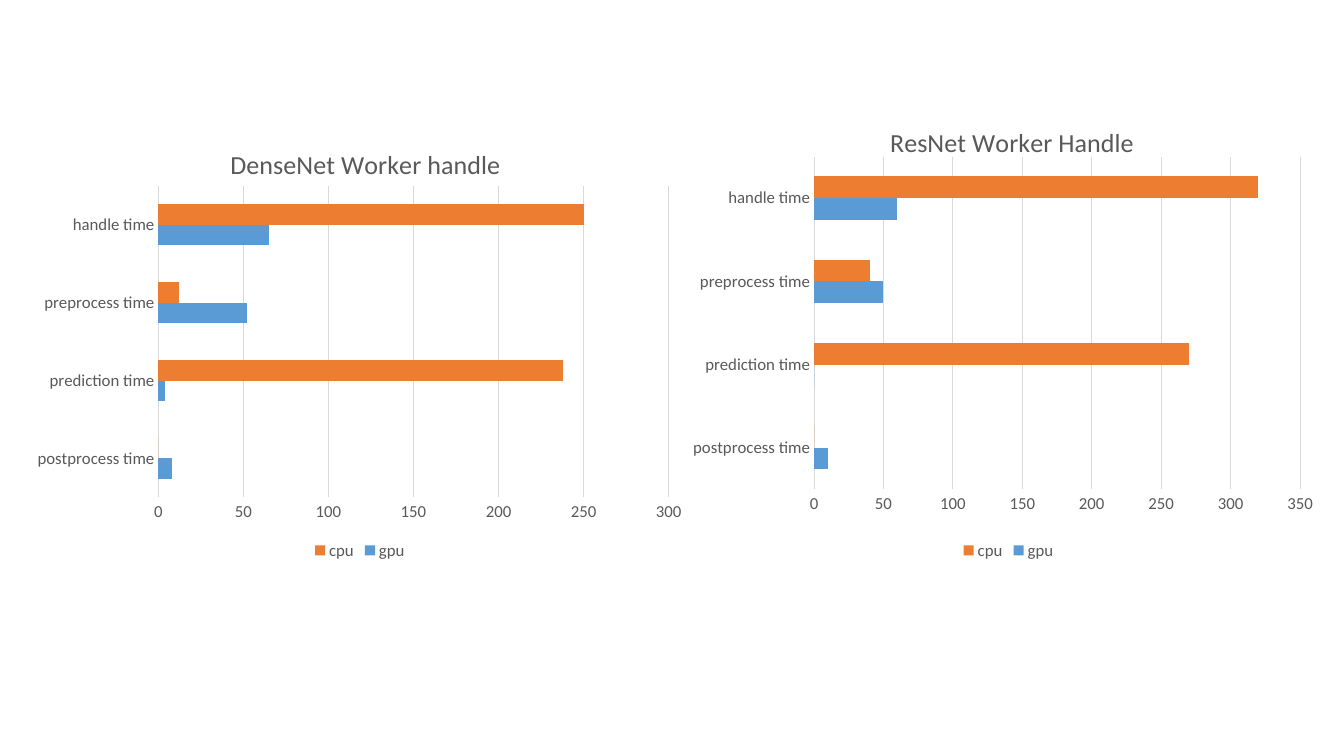
from lxml import etree
from pptx import Presentation
from pptx.chart import data as cd
from pptx.dml.color import RGBColor
from pptx.enum import chart as ce
from pptx.oxml.ns import qn
from pptx.util import Pt

COLORS = {"text": "595959", "rule": "D9D9D9", "gpu": "5B9BD5", "cpu": "ED7D31"}
STAGES = ["postprocess time", "prediction time", "preprocess time", "handle time"]

# Frames in points; title and plot areas as fractions of the chart frame
WORKERS = [
    dict(title="DenseNet Worker handle", frame=(17.28, 84.96, 479.52, 318.24),
         title_at=(0.3, 0.05), plot_at=(0.2, 0.15, 0.76, 0.7), top=300,
         times={"gpu": [8, 4, 52, 65], "cpu": [0, 238, 12, 250]}),
    dict(title="ResNet Worker Handle", frame=(488.88, 68.4, 462.96, 334.8),
         title_at=(0.31, 0.05), plot_at=(0.2, 0.13, 0.75, 0.71), top=350,
         times={"gpu": [10, 0, 50, 60], "cpu": [0, 270, 40, 320]}),
]


def write(frame, text, size=18.6, color="text", font="Calibri"):
    run = frame.paragraphs[0].add_run()
    run.text = text
    run.font.size, run.font.name, run.font.bold = Pt(size), font, False
    run.font.color.rgb = RGBColor.from_string(COLORS[color])


def place(part, index, fractions):
    """Give a chart part a manual layout: x, y and optionally w, h."""
    layout = part.find(qn("c:layout"))
    if layout is None:
        layout = etree.Element(qn("c:layout"))
        part.insert(index, layout)
    manual = etree.SubElement(layout, qn("c:manualLayout"))
    settings = [("xMode", "edge"), ("yMode", "edge"), *zip("xywh", fractions)]
    if len(fractions) == 4:
        settings.insert(0, ("layoutTarget", "inner"))
    for tag, value in settings:
        etree.SubElement(manual, qn("c:" + tag)).set("val", str(value))


prs = Presentation()
prs.slide_width, prs.slide_height = Pt(960), Pt(540)
slide = prs.slides.add_slide(prs.slide_layouts[6])

for worker in WORKERS:
    # Bars
    timings = cd.CategoryChartData()
    timings.categories = STAGES
    for device, times in worker["times"].items():
        timings.add_series(device, times)
    chart = slide.shapes.add_chart(ce.XL_CHART_TYPE.BAR_CLUSTERED,
                                   *map(Pt, worker["frame"]), timings).chart
    chart.font.name, chart.font.size = "Calibri", Pt(12)
    chart.font.color.rgb = RGBColor.from_string(COLORS["text"])
    bars = chart.plots[0]
    bars.gap_width, bars.overlap, bars.vary_by_categories = 182, 0, False
    for series in bars.series:
        series.format.fill.solid()
        series.format.fill.fore_color.rgb = RGBColor.from_string(COLORS[series.name])

    # Axes and grid
    stages, scale = chart.category_axis, chart.value_axis
    for axis in (stages, scale):
        axis.major_tick_mark = axis.minor_tick_mark = ce.XL_TICK_MARK.NONE
    scale.minimum_scale, scale.maximum_scale, scale.major_unit = 0, worker["top"], 50
    scale.has_major_gridlines = True
    scale.format.line.fill.background()
    for line in (stages.format.line, scale.major_gridlines.format.line):
        line.width = Pt(0.75)
        line.color.rgb = RGBColor.from_string(COLORS["rule"])

    # Title and legend
    chart.has_title = True
    write(chart.chart_title.text_frame, worker["title"])
    chart.has_legend = True
    chart.legend.position = ce.XL_LEGEND_POSITION.BOTTOM
    chart.legend.include_in_layout = False

    # Layout
    title = chart.element.find(".//" + qn("c:title"))
    place(title, 1, worker["title_at"])
    place(chart.element.find(".//" + qn("c:plotArea")), 0, worker["plot_at"])

prs.save("out.pptx")
